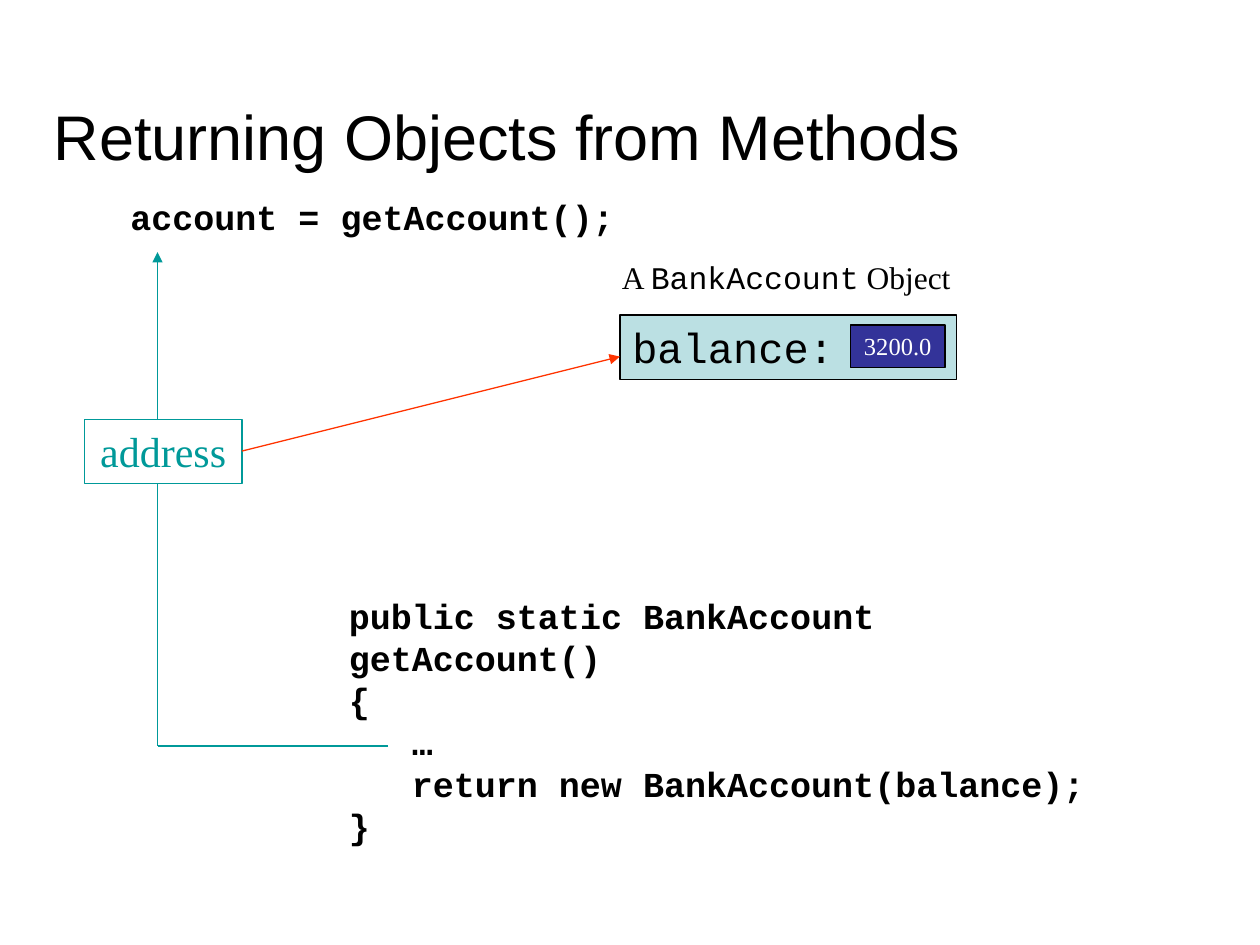
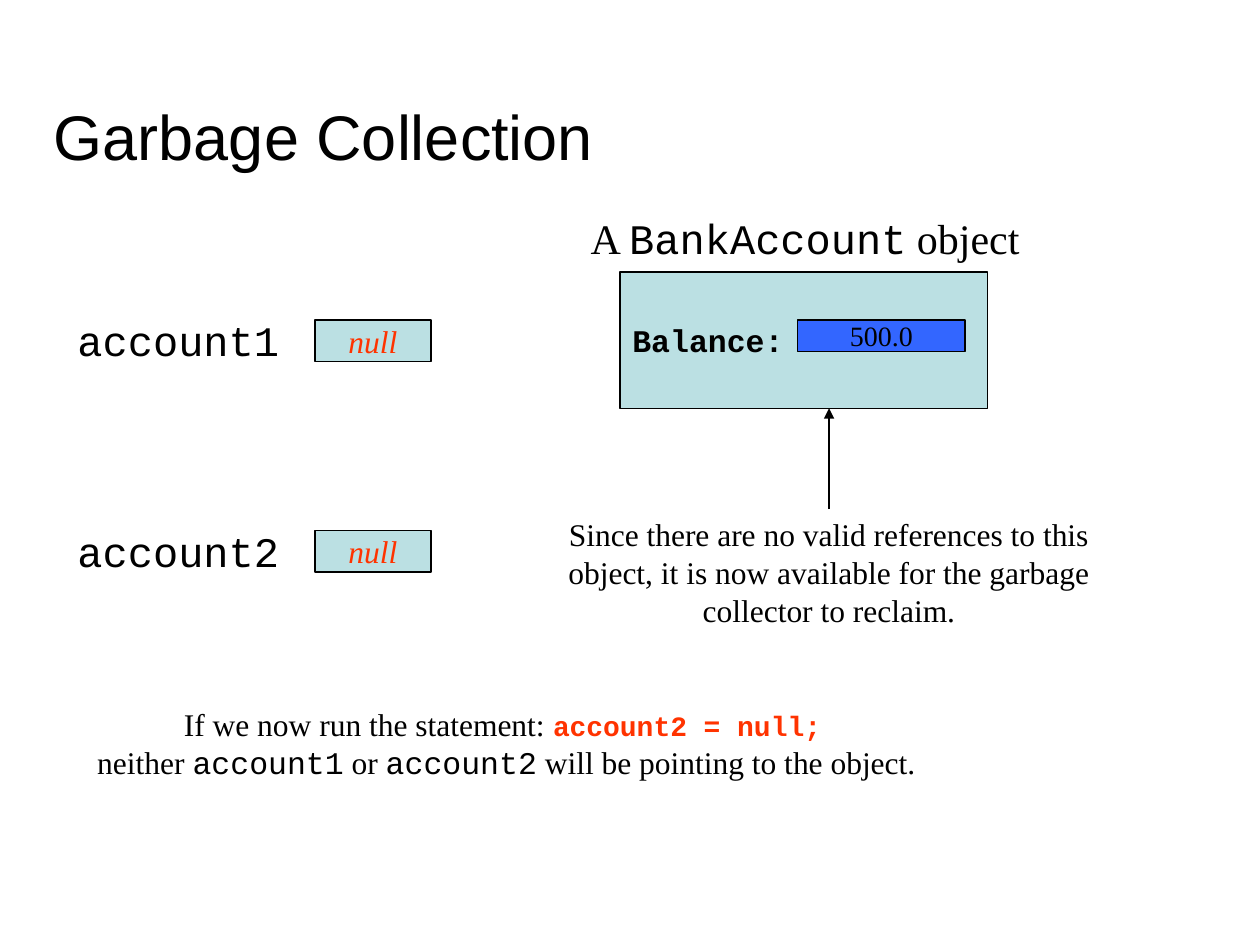
from lxml import etree
from pptx import Presentation
from pptx.dml.color import RGBColor
from pptx.enum.shapes import MSO_CONNECTOR, MSO_SHAPE
from pptx.enum.text import MSO_ANCHOR, PP_ALIGN
from pptx.oxml.ns import qn
from pptx.util import Inches, Pt

# Shared look
SANS, MONO, SERIF = "Arial", "Courier New", "Times New Roman"
BLACK, WHITE, TEAL, RED = "000000", "FFFFFF", "009999", "FF3300"
PALE, NAVY, BLUE = "BBE0E3", "333399", "3366FF"
LEFT, CENTER = PP_ALIGN.LEFT, PP_ALIGN.CENTER
TOP, MIDDLE, BOTTOM = MSO_ANCHOR.TOP, MSO_ANCHOR.MIDDLE, MSO_ANCHOR.BOTTOM


def color(value):
    return RGBColor.from_string(value)


def span(text, size, font=SERIF, ink=BLACK, bold=False, italic=False):
    return text, size, font, ink, bold, italic


def write(shape, lines, align=CENTER, anchor=TOP, wrap=True):
    """Fill a shape with lines, each a list of spans."""
    frame = shape.text_frame
    frame.word_wrap = wrap
    frame.vertical_anchor = anchor
    for index, spans in enumerate(lines):
        para = frame.paragraphs[0] if index == 0 else frame.add_paragraph()
        para.alignment = align
        for text, size, font, ink, bold, italic in spans:
            run = para.add_run()
            run.text = text
            run.font.size, run.font.name = Pt(size), font
            run.font.bold, run.font.italic = bold, italic
            run.font.color.rgb = color(ink)
    return shape


def add_text(page, box, lines, **layout):
    shape = page.shapes.add_textbox(*map(Inches, box))
    return write(shape, lines, **layout)


def add_box(page, box, spans, fill=None, line=BLACK, **layout):
    shape = page.shapes.add_shape(MSO_SHAPE.RECTANGLE, *map(Inches, box))
    shape.shadow.inherit = False
    if fill:
        shape.fill.solid()
        shape.fill.fore_color.rgb = color(fill)
    else:
        shape.fill.background()
    shape.line.color.rgb = color(line)
    shape.line.width = Pt(0.75)
    return write(shape, [spans], **layout)


def add_line(page, start, end, ink, arrow=False):
    line = page.shapes.add_connector(
        MSO_CONNECTOR.STRAIGHT, *map(Inches, start + end))
    line.line.color.rgb = color(ink)
    line.line.width = Pt(0.75)
    if arrow:
        etree.SubElement(line.line._get_or_add_ln(), qn("a:tailEnd"), type="triangle")
    etree.SubElement(line._element.spPr, qn("a:effectLst"))


def add_page(deck, title):
    page = deck.slides.add_slide(deck.slide_layouts[6])
    add_text(page, (0.33, 0.33, 9.42, 1.09), [[span(title, 36, SANS)]],
             align=LEFT, anchor=BOTTOM)
    return page


def add_object_caption(page, box, size, noun):
    add_text(page, box, [[span("A ", size), span("BankAccount", size, MONO),
                          span(" " + noun, size)]], wrap=False)


def add_method(page, box):
    """Method listing; the body is indented by three characters."""
    code = ["public static BankAccount getAccount()", "{", "…",
            "return new BankAccount(balance);", "}"]
    listing = add_text(page, box, [[span(text, 20, MONO, bold=True)] for text in code],
                       align=LEFT)
    for para in listing.text_frame.paragraphs[2:4]:
        para._p.get_or_add_pPr().set("marL", str(Inches(0.5)))


def add_balance_object(page, left, top):
    add_box(page, (left, top, 2.67, 0.51), [span("balance:", 24, MONO)], PALE, align=LEFT)
    add_box(page, (left + 1.83, top + 0.08, 0.75, 0.34),
            [span("3200.0", 14, ink=WHITE)], NAVY, wrap=False)


def add_address_path(page, left, top):
    """Address box with its path from the return statement to the call."""
    middle, base = left + 0.58, top + 2.59
    add_box(page, (left, top, 1.25, 0.51), [span("address", 24, ink=TEAL)], line=TEAL)
    add_line(page, (middle, top), (middle, 2), TEAL, arrow=True)
    add_line(page, (3.08, base), (middle, base), TEAL)
    add_line(page, (middle, base), (middle, top + 0.5), TEAL)
    add_line(page, (left + 1.25, top + 0.25), (4.92, 2.83), RED, arrow=True)


def add_variable(page, left, top, name):
    add_text(page, (left, top, 1.83, 0.5), [[span(name, 24, MONO)]])
    add_box(page, (left + 2, top + 0.09, 0.92, 0.33),
            [span("null", 18, ink=RED, italic=True)], PALE, anchor=MIDDLE, wrap=False)


def add_unreferenced_object(page, left, top):
    add_box(page, (left, top, 2.92, 1.08), [span("Balance:", 18, MONO, bold=True)],
            PALE, align=LEFT, anchor=MIDDLE, wrap=False)
    add_box(page, (left + 1.41, top + 0.38, 1.33, 0.25), [span("500.0", 16)],
            BLUE, anchor=MIDDLE, wrap=False)


def add_reclaim_note(page, left, top):
    note = ["Since there are no valid references to this",
            "object, it is now available for the garbage",
            "collector to reclaim."]
    add_text(page, (left, top, 4.5, 1), [[span(text, 18)] for text in note])
    middle = left + 2.25
    add_line(page, (middle, top), (middle, top - 0.8), BLACK, arrow=True)


def add_statement(page, box):
    add_text(page, box, [
        [span("If we now run the statement: ", 18),
         span("account2 = null;", 16, MONO, RED, bold=True), span(" ", 18)],
        [span("neither ", 18), span("account1", 18, MONO), span(" or ", 18),
         span("account2", 18, MONO), span(" will be pointing to the object.", 18)],
    ], wrap=False)


def build_returning_objects(deck):
    page = add_page(deck, "Returning Objects from Methods")
    add_text(page, (0.83, 1.5, 4.25, 0.43),
             [[span("account = getAccount();", 20, MONO, bold=True)]])
    add_method(page, (2.67, 4.67, 6.5, 2.1))
    add_balance_object(page, 4.92, 2.5)
    add_address_path(page, 0.67, 3.33)
    add_object_caption(page, (4.83, 2, 2.82, 0.4), 18, "Object")


def build_garbage_collection(deck):
    page = add_page(deck, "Garbage Collection")
    add_statement(page, (0.67, 5.55, 6.7, 0.7))
    add_reclaim_note(page, 4.33, 4.04)
    add_object_caption(page, (4.58, 1.64, 3.62, 0.5), 24, "object")
    for index, name in enumerate(("account1", "account2")):
        add_variable(page, 0.5, 2.45 + index * 1.67, name)
    add_unreferenced_object(page, 4.92, 2.16)


def main():
    deck = Presentation()
    deck.slide_width, deck.slide_height = Inches(10), Inches(7.5)
    build_returning_objects(deck)
    build_garbage_collection(deck)
    deck.save("out.pptx")


if __name__ == "__main__":
    main()
